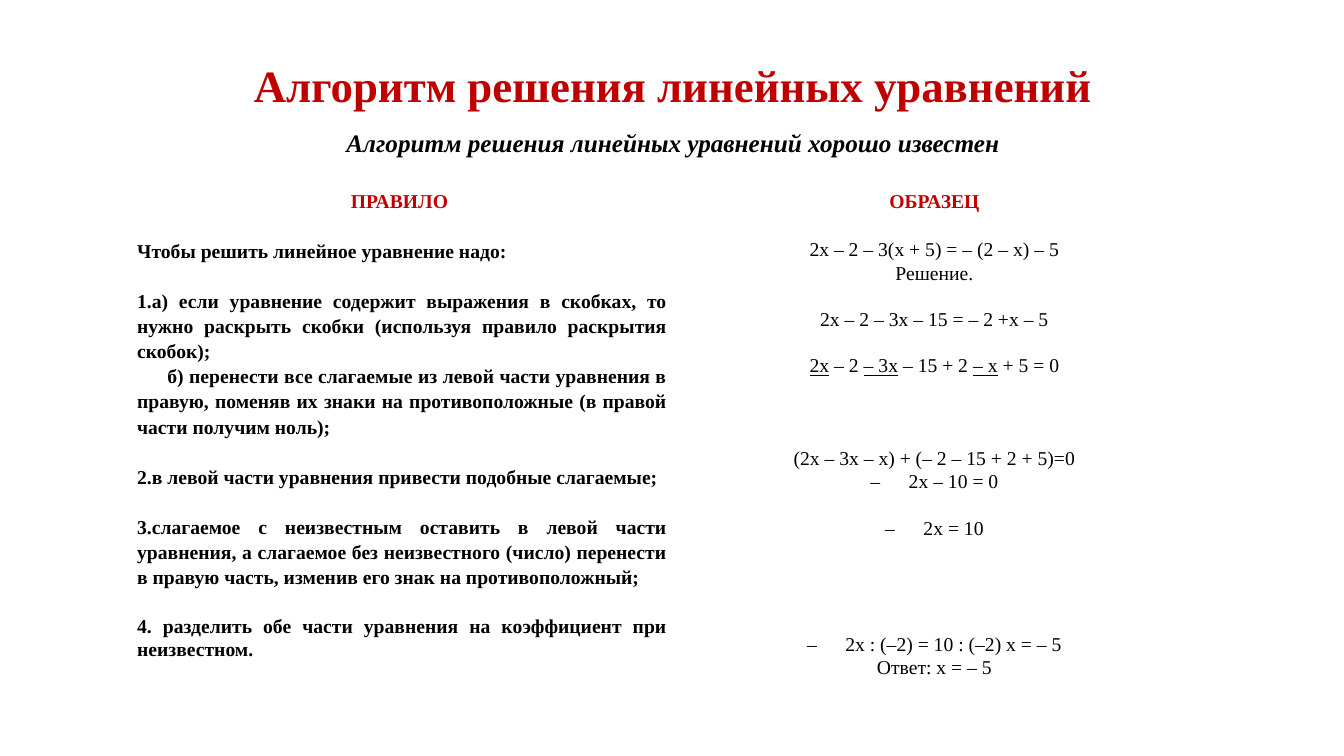
from lxml import etree
from pptx import Presentation
from pptx.dml.color import RGBColor
from pptx.enum.text import PP_ALIGN
from pptx.oxml.ns import qn
from pptx.util import Inches, Pt

LEFT, CENTER, JUSTIFY = PP_ALIGN.LEFT, PP_ALIGN.CENTER, PP_ALIGN.JUSTIFY
FONT = "Times New Roman"
RED, BLACK, WHITE = "C00000", "000000", "FFFFFF"
RULE_GAP, SAMPLE_GAP = 18, 16.6

TITLES = [
    ("Алгоритм решения линейных уравнений", 32, RED, False),
    ("Алгоритм решения линейных уравнений хорошо известен", 18, BLACK, True),
]
HEADERS = ["ПРАВИЛО ", "ОБРАЗЕЦ "]
# text, alignment, line spacing, gaps before, first-line indent
RULES = [
    ("Чтобы решить линейное уравнение надо:", LEFT, 1.07, 0, 0),
    ("1.а) если уравнение содержит выражения в скобках, то нужно раскрыть скобки "
     "(используя правило раскрытия скобок); ", JUSTIFY, 1.15, 1, 0),
    ("б) перенести все слагаемые из левой части уравнения в правую, поменяв их знаки "
     "на противоположные (в правой части получим ноль); ", JUSTIFY, 1.16, 0, 0.3),
    ("2.в левой части уравнения привести подобные слагаемые; ", JUSTIFY, 1.16, 1, 0),
    ("3.слагаемое с неизвестным оставить в левой части уравнения, а слагаемое без "
     "неизвестного (число) перенести в правую часть, изменив его знак на "
     "противоположный; ", JUSTIFY, 1.16, 1, 0),
    ("4. разделить обе части уравнения на коэффициент при неизвестном. ", JUSTIFY, 1.07, 1, 0),
]
# pieces (every second one underlined), gaps before, dash bullet
SAMPLE = [
    (["2x – 2 – 3(x + 5) = – (2 – x) – 5 "], 0, False),
    (["Решение. "], 0, False),
    (["2x – 2 – 3x – 15 = – 2 +x – 5 "], 1, False),
    (["", "2x", " – 2 ", "– 3x", " – 15 + 2 ", "– x", " + 5 = 0 "], 1, False),
    (["(2x – 3x – x) + (– 2 – 15 + 2 + 5)=0 "], 3, False),
    (["2x – 10 = 0 "], 0, True),
    (["2x = 10 "], 1, True),
    (["2x : (–2) = 10 : (–2) x = – 5 "], 4, True),
    (["Ответ: x = – 5 "], 0, False),
]


def color(value):
    return RGBColor.from_string(value)


def next_paragraph(frame, index):
    return frame.add_paragraph() if index else frame.paragraphs[0]


def style(para, size, ink, bold, align, spacing, before=0):
    para.alignment = align
    para.line_spacing = spacing
    if before:
        para.space_before = Pt(before)
    font = para.font
    font.name, font.size, font.bold = FONT, Pt(size), bold
    font.color.rgb = color(ink)


def indent(para, left, first):
    props = para._p.get_or_add_pPr()
    props.set("marL", str(Inches(left)))
    props.set("indent", str(Inches(first)))
    return props


def add_dash(para):
    props = indent(para, 0.38, -0.38)
    ink = etree.SubElement(props, qn("a:buClr"))
    etree.SubElement(ink, qn("a:srgbClr"), val=BLACK)
    etree.SubElement(props, qn("a:buFont"), typeface=FONT)
    etree.SubElement(props, qn("a:buChar"), char="–")


def prepare_cell(cell, top, bottom_width):
    cell.margin_left, cell.margin_right = Inches(0.04), Inches(0.01)
    cell.margin_top, cell.margin_bottom = Inches(top), 0
    props = cell._tc.get_or_add_tcPr()
    for side, width in (("L", 1), ("R", 1), ("T", 1), ("B", bottom_width)):
        line = etree.SubElement(props, qn("a:ln" + side), w=str(Pt(width)))
        fill = etree.SubElement(line, qn("a:solidFill"))
        etree.SubElement(fill, qn("a:srgbClr"), val=WHITE)
    cell.fill.solid()
    cell.fill.fore_color.rgb = color(WHITE)
    cell.text_frame.word_wrap = True
    return cell.text_frame


def add_titles(page):
    box = page.shapes.add_textbox(Inches(0.41), Inches(0.26), Inches(12.28), Inches(1.36))
    frame = box.text_frame
    frame.word_wrap = True
    for index, (text, size, ink, italic) in enumerate(TITLES):
        para = next_paragraph(frame, index)
        para.text = text
        indent(para, 0.25, 0)
        style(para, size, ink, True, CENTER, 1.5)
        para.font.italic = italic


def fill_rules(frame):
    for index, (text, align, spacing, gaps, first) in enumerate(RULES):
        para = next_paragraph(frame, index)
        para.text = text
        indent(para, 0, first)
        style(para, 14, BLACK, True, align, spacing, gaps * RULE_GAP)


def fill_sample(frame):
    for index, (pieces, gaps, dash) in enumerate(SAMPLE):
        para = next_paragraph(frame, index)
        if dash:
            add_dash(para)
        style(para, 14, BLACK, False, CENTER, 1.07, gaps * SAMPLE_GAP)
        for number, piece in enumerate(pieces):
            if piece:
                span = para.add_run()
                span.text = piece
                if number % 2:
                    span.font.underline = True


def add_algorithm(page):
    table = page.shapes.add_table(
        2, 2, Inches(1.32), Inches(1.88), Inches(10.61), Inches(5.51)).table
    table.first_row = table.horz_banding = False
    for row, height in zip(table.rows, (0.24, 5.27)):
        row.height = Inches(height)
    for column, header in enumerate(HEADERS):
        frame = prepare_cell(table.cell(0, column), 0, 3)
        para = frame.paragraphs[0]
        para.text = header
        style(para, 14, RED, True, CENTER, 1.07)
    fill_rules(prepare_cell(table.cell(1, 0), 0.25, 1))
    fill_sample(prepare_cell(table.cell(1, 1), 0.23, 1))


def main():
    deck = Presentation()
    deck.slide_width, deck.slide_height = Inches(13.33), Inches(7.5)
    page = deck.slides.add_slide(deck.slide_layouts[6])
    add_titles(page)
    add_algorithm(page)
    deck.save("out.pptx")


if __name__ == "__main__":
    main()
